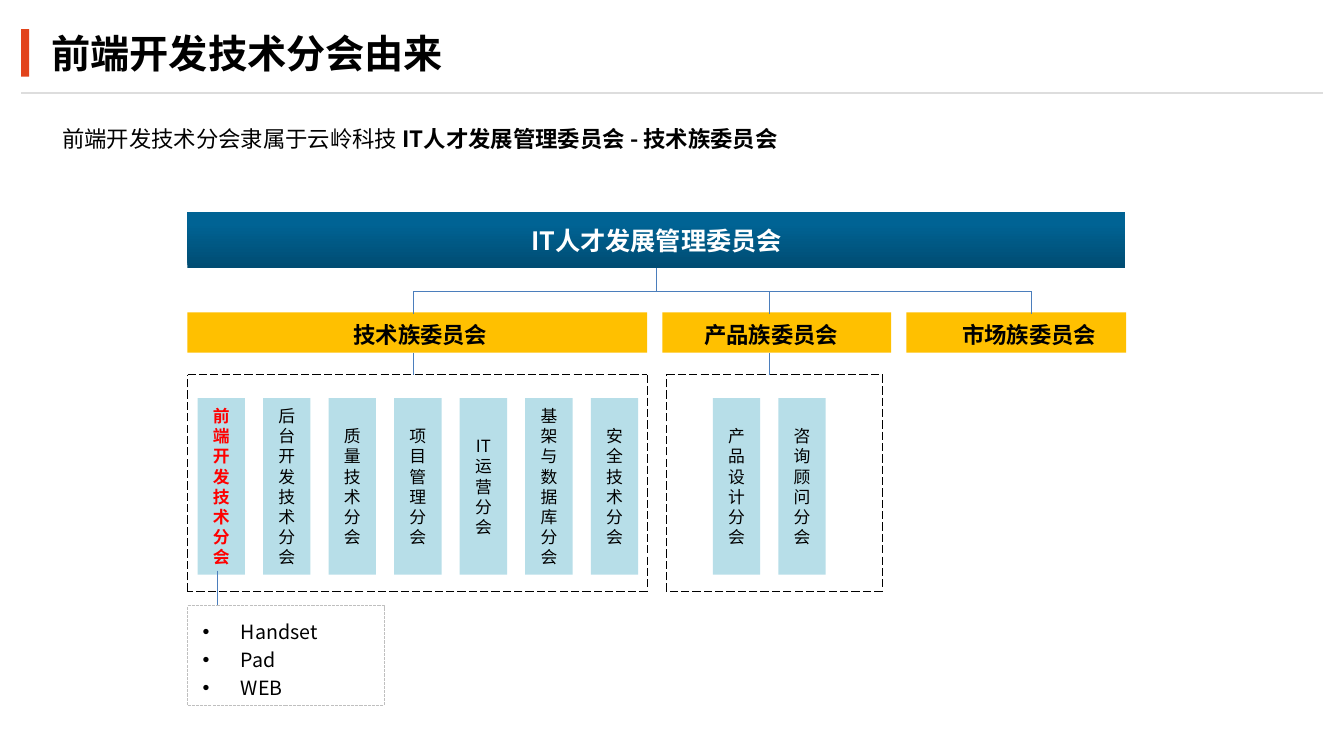
from lxml.etree import SubElement
from pptx import Presentation
from pptx.dml.color import RGBColor
from pptx.enum.dml import MSO_LINE
from pptx.enum.shapes import MSO_CONNECTOR, MSO_SHAPE
from pptx.enum.text import MSO_ANCHOR, MSO_AUTO_SIZE, PP_ALIGN
from pptx.oxml.ns import qn
from pptx.util import Inches, Pt

CELL = Inches(0.1)  # the slide is a grid of 133.3 columns and 75 rows
FONT = "Noto Sans CJK SC"
COLORS = {
    "black": "000000", "white": "FFFFFF", "red": "FF0000", "accent": "E2441C",
    "rule": "DDDDDD", "navy": "004C72", "blue": "006394", "gold": "FFC000",
    "pale": "B7DEE8", "link": "4B7EBC", "grey": "BFBFBF",
}
COMMITTEES = [  # bar left, bar width, label centre, name
    (18.6, 45.6, 41.7, "技术族委员会"),
    (65.7, 22.7, 76.5, "产品族委员会"),
    (89.9, 21.8, 102.1, "市场族委员会"),
]
BRANCHES = [  # frame left, frame right, first card left, card names
    (18.6, 64.2, 19.6, ["前端开发技术分会", "后台开发技术分会", "质量技术分会",
                        "项目管理分会", "IT运营分会", "基架与数据库分会",
                        "安全技术分会"]),
    (66.1, 87.5, 70.7, ["产品设计分会", "咨询顾问分会"]),
]
BRANCH_CENTRES = [41, 76.3, 102.3]
TRUNK_CENTRE = 65.1
CARD_PITCH = 6.5
FRAME_TOP, FRAME_BOTTOM = 37.2, 58.7
PLATFORMS = ["Handset", "Pad", "WEB"]


def grid(*cells):
    """Turn grid units into slide lengths."""
    return [round(cell * CELL) for cell in cells]


def color(name):
    """Look up a palette colour."""
    return RGBColor.from_string(COLORS[name])


def add_run(paragraph, text, size, tint="black", bold=False):
    """Add one formatted run to a paragraph."""
    run = paragraph.add_run()
    run.text = text
    run.font.size = Pt(size)
    run.font.bold = bold
    run.font.color.rgb = color(tint)
    run.font.name = FONT
    SubElement(run.font._element, qn("a:ea")).set("typeface", FONT)


def add_box(slide, cells, fill=None):
    """Add a rectangle without outline, filled or hollow."""
    shape = slide.shapes.add_shape(MSO_SHAPE.RECTANGLE, *grid(*cells))
    shape.shadow.inherit = False
    shape.line.fill.background()
    if fill:
        shape.fill.solid()
        shape.fill.fore_color.rgb = color(fill)
    else:
        shape.fill.background()
    return shape


def add_line(slide, start, end, tint="link", width=0.75, dash=None):
    """Draw a straight line between two grid points."""
    line = slide.shapes.add_connector(MSO_CONNECTOR.STRAIGHT, *grid(*start, *end))
    line.line.color.rgb = color(tint)
    line.line.width = Pt(width)
    if dash:
        line.line.dash_style = dash
    SubElement(line._element.spPr, qn("a:effectLst"))


def add_text(slide, cells, runs, align=PP_ALIGN.CENTER, anchor=MSO_ANCHOR.TOP):
    """Add a wrapping one-paragraph text box."""
    frame = slide.shapes.add_textbox(*grid(*cells)).text_frame
    frame.word_wrap = True
    frame.vertical_anchor = anchor
    frame.paragraphs[0].alignment = align
    for run in runs:
        add_run(frame.paragraphs[0], *run)


def add_frame(slide, left, right):
    """Draw the four dashed sides around a branch."""
    corners = [(left, FRAME_TOP), (right, FRAME_TOP),
               (right, FRAME_BOTTOM), (left, FRAME_BOTTOM)]
    for start, end in zip(corners, corners[1:] + corners[:1]):
        add_line(slide, start, end, "black", dash=MSO_LINE.LONG_DASH)


def add_card(slide, left, name, highlighted):
    """Add a narrow card whose text stacks one character a line."""
    card = add_box(slide, (left, 39.5, 4.7, 17.5), "pale")
    card.text_frame.word_wrap = True
    card.text_frame.vertical_anchor = MSO_ANCHOR.MIDDLE
    paragraph = card.text_frame.paragraphs[0]
    paragraph.alignment = PP_ALIGN.CENTER
    add_run(paragraph, name, 12, "red" if highlighted else "black", highlighted)


def place_placeholder(placeholder, cells, anchor):
    """Move a placeholder and return its fixed-size text frame."""
    (placeholder.left, placeholder.top,
     placeholder.width, placeholder.height) = grid(*cells)
    frame = placeholder.text_frame
    frame.auto_size = MSO_AUTO_SIZE.NONE
    frame.word_wrap = True
    frame.vertical_anchor = anchor
    return frame


def add_heading(slide):
    """Fill the title and add its bar, rule and introduction."""
    add_line(slide, (2.1, 9.2), (131.2, 9.2), "rule", 1.5)
    add_box(slide, (2.1, 2.9, 0.8, 4.7), "accent")
    frame = place_placeholder(slide.shapes.title, (3.7, 1.3, 102.9, 7.9),
                              MSO_ANCHOR.MIDDLE)
    frame.margin_left = Inches(0.14)
    paragraph = frame.paragraphs[0]
    paragraph.alignment = PP_ALIGN.LEFT
    paragraph.space_before = Pt(9)
    add_run(paragraph, "前端开发技术分会由来", 28, bold=True)
    add_text(slide, (5.2, 10.7, 106.3, 6),
             [("前端开发技术分会隶属于云岭科技 ", 16),
              ("IT人才发展管理委员会 - 技术族委员会", 16, "black", True)],
             PP_ALIGN.LEFT, MSO_ANCHOR.MIDDLE)


def add_committees(slide):
    """Add the top bar and the committees below it."""
    fill = add_box(slide, (18.6, 21, 93, 5.6)).fill
    fill.gradient()
    fill.gradient_angle = 90
    for stop, position, tint in zip(fill.gradient_stops, (0, 0.8), ("navy", "blue")):
        stop.position = position
        stop.color.rgb = color(tint)
    add_text(slide, (36.8, 21.9, 57.2, 4),
             [("IT人才发展管理委员会 ", 18, "white", True)])
    for left, width, centre, name in COMMITTEES:
        add_box(slide, (left, 31, width, 4), "gold")
        add_text(slide, (centre - 9.5, 31.4, 19, 3.7), [(name, 16, "black", True)])


def add_branches(slide):
    """Add the framed cards, the first one highlighted."""
    for left, right, first, names in BRANCHES:
        add_frame(slide, left, right)
        for index, name in enumerate(names):
            add_card(slide, first + index * CARD_PITCH, name,
                     name == BRANCHES[0][3][0])


def add_links(slide):
    """Join the levels of the chart."""
    add_line(slide, (TRUNK_CENTRE, 26.6), (TRUNK_CENTRE, 28.9))
    add_line(slide, (BRANCH_CENTRES[0], 28.9), (BRANCH_CENTRES[-1], 28.9))
    for centre in BRANCH_CENTRES:
        add_line(slide, (centre, 28.9), (centre, 31.2))
    for centre in BRANCH_CENTRES[:len(BRANCHES)]:
        add_line(slide, (centre, 35), (centre, FRAME_TOP))
    add_line(slide, (21.6, 56.6), (21.6, 60.1))


def add_platforms(slide):
    """List the platforms in a dotted box."""
    box = add_box(slide, (18.6, 60.1, 19.5, 9.9))
    box.line.color.rgb = color("grey")
    box.line.width = Pt(0.75)
    box.line.dash_style = MSO_LINE.SQUARE_DOT
    frame = place_placeholder(slide.placeholders[1], (19.1, 60.5, 17.7, 9.5),
                              MSO_ANCHOR.TOP)
    for index, name in enumerate(PLATFORMS):
        paragraph = frame.add_paragraph() if index else frame.paragraphs[0]
        paragraph.line_spacing = 1.2
        paragraph.space_before = Pt(0)
        properties = paragraph._p.get_or_add_pPr()
        properties.set("marL", str(Inches(0.38)))
        properties.set("indent", str(-Inches(0.38)))
        SubElement(properties, qn("a:buFont")).set("typeface", "Arial")
        SubElement(properties, qn("a:buChar")).set("char", "•")
        add_run(paragraph, name, 14)


def main():
    """Build and save the slide."""
    presentation = Presentation()
    presentation.slide_width, presentation.slide_height = Inches(13.33), Inches(7.5)
    slide = presentation.slides.add_slide(presentation.slide_layouts[1])
    add_heading(slide)
    add_committees(slide)
    add_branches(slide)
    add_links(slide)
    add_platforms(slide)
    presentation.save("out.pptx")


main()
